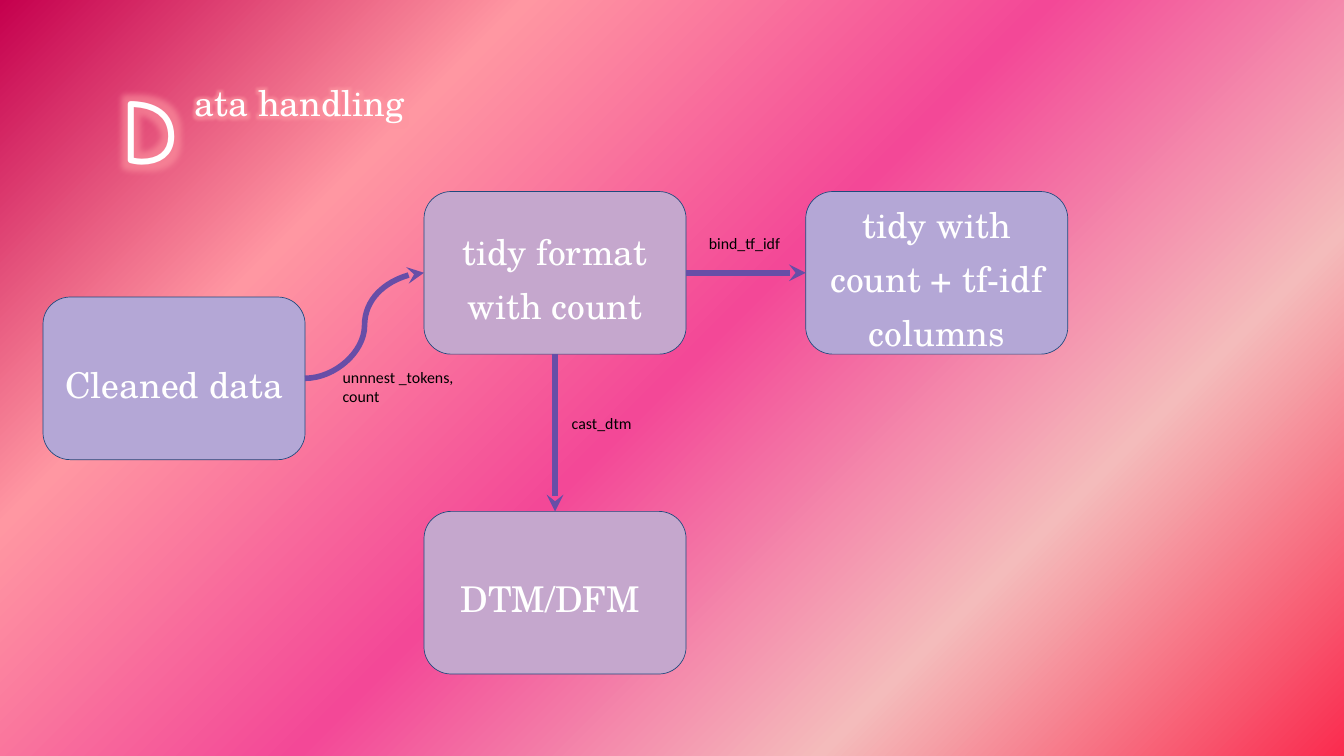
from lxml import etree
from pptx import Presentation
from pptx.dml.color import RGBColor
from pptx.enum.shapes import MSO_CONNECTOR, MSO_SHAPE
from pptx.enum.text import MSO_ANCHOR, PP_ALIGN
from pptx.oxml.ns import qn
from pptx.util import Inches, Pt

ROUNDED = MSO_SHAPE.ROUNDED_RECTANGLE
CURVE, STRAIGHT = MSO_CONNECTOR.CURVE, MSO_CONNECTOR.STRAIGHT
LEFT, CENTER = PP_ALIGN.LEFT, PP_ALIGN.CENTER
TOP, MIDDLE = MSO_ANCHOR.TOP, MSO_ANCHOR.MIDDLE
SERIF, ROUND, SANS = "TeX Gyre Schola", "Comic Neue", "Calibri"
WHITE, BLACK, OUTLINE, ARROW = "FFFFFF", "000000", "1F497D", "674EA7"
LAVENDER, MAUVE, GLOW = "B4A7D6", "C5A7CD", "FF97A2"
GRADIENT = ["C5004E", "FF97A2", "F34897", "F4BBBB", "FA2B4E"]
NODE_WIDTH, NODE_HEIGHT = 3.9, 2.42
SITE_TOP, SITE_LEFT, SITE_BOTTOM, SITE_RIGHT = range(4)


def color(value):
    """Turn a hex string into a colour."""
    return RGBColor.from_string(value)


def add_element(parent, tag, **attributes):
    """Append an XML element with the given attributes."""
    element = etree.SubElement(parent, qn(tag))
    for name, value in attributes.items():
        element.set(name, str(value))
    return element


def write_text(shape, lines, font=SERIF, size=38, fill=WHITE, align=LEFT,
               anchor=TOP, spacing=None, margin=0.1, wrap=True):
    """Fill a shape with one paragraph per line and return the runs."""
    frame = shape.text_frame
    frame.word_wrap = wrap
    frame.vertical_anchor = anchor
    frame.margin_left = frame.margin_right = Inches(margin)
    frame.margin_top = frame.margin_bottom = Inches(margin)
    runs = []
    for index, line in enumerate(lines):
        paragraph = frame.add_paragraph() if index else frame.paragraphs[0]
        paragraph.alignment = align
        paragraph.line_spacing = spacing
        run = paragraph.add_run()
        run.text = line
        run.font.name, run.font.size = font, Pt(size)
        run.font.color.rgb = color(fill)
        runs.append(run)
    return runs


def add_text(slide, box, lines, **text_format):
    """Add a text box at the given box and return its runs."""
    shape = slide.shapes.add_textbox(*map(Inches, box))
    return write_text(shape, lines, **text_format)


def add_glow(run):
    """Give the letters of a run a soft glow."""
    effects = etree.Element(qn("a:effectLst"))
    glow = add_element(effects, "a:glow", rad=Inches(0.2))
    glow_color = add_element(glow, "a:srgbClr", val=GLOW)
    add_element(glow_color, "a:alpha", val=60000)
    run.font.fill
    run.font._element.find(qn("a:solidFill")).addnext(effects)


def paint_background(slide):
    """Paint the five-colour gradient that spreads from the top left corner."""
    slide.background.fill.gradient()
    gradient = next(slide.element.iter(qn("a:gradFill")))
    for child in list(gradient):
        gradient.remove(child)
    stops = add_element(gradient, "a:gsLst")
    for index, value in enumerate(GRADIENT):
        stop = add_element(stops, "a:gs", pos=index * 25000)
        add_element(stop, "a:srgbClr", val=value)
    route = add_element(gradient, "a:path", path="circle")
    add_element(route, "a:fillToRect", r=100000, b=100000)


def add_title(slide, left, top):
    """Add the heading with its large initial."""
    title_format = dict(spacing=1.26, margin=0)
    heading = add_text(slide, (left + 1.11, top + 1.66, 14.78, 0.64),
                       ["ata handling"], **title_format)[0]
    initial = add_text(slide, (left, top, 2.23, 2.83), ["D"],
                       font=ROUND, size=100, **title_format)[0]
    spacer = slide.shapes[-1].text_frame.paragraphs[0].add_run()
    spacer.text = " "
    spacer.font.name, spacer.font.size = ROUND, Pt(168.3)
    for run in (heading, initial):
        add_glow(run)


def add_node(slide, left, top, fill, lines):
    """Add one rounded box of the flow."""
    node = slide.shapes.add_shape(ROUNDED, Inches(left), Inches(top),
                                  Inches(NODE_WIDTH), Inches(NODE_HEIGHT))
    node.shadow.inherit = False
    node.fill.solid()
    node.fill.fore_color.rgb = color(fill)
    node.line.color.rgb = color(OUTLINE)
    node.line.width = Pt(0.75)
    write_text(node, lines, align=CENTER, anchor=MIDDLE, spacing=1.26)
    return node


def add_arrow(slide, kind, start, start_site, end, end_site):
    """Join two nodes with a thick arrow."""
    connector = slide.shapes.add_connector(kind, 0, 0, 0, 0)
    connector.begin_connect(start, start_site)
    connector.end_connect(end, end_site)
    connector.line.color.rgb = color(ARROW)
    connector.line.width = Pt(6)
    add_element(connector.line._get_or_add_ln(), "a:tailEnd", type="stealth")
    add_element(connector.element.spPr, "a:effectLst")


def add_flow(slide, left, top):
    """Add the nodes, the arrows and the names of the steps."""
    middle, right = left + 5.67, left + 11.35
    cleaned = add_node(slide, left, top + 1.57, LAVENDER, ["Cleaned data"])
    tidy = add_node(slide, middle, top, MAUVE, ["tidy format", "with count"])
    weighted = add_node(slide, right, top, LAVENDER,
                        ["tidy with count + tf-idf columns"])
    matrix = add_node(slide, middle, top + 4.76, MAUVE, ["DTM/DFM "])

    add_arrow(slide, CURVE, cleaned, SITE_RIGHT, tidy, SITE_LEFT)
    add_arrow(slide, CURVE, tidy, SITE_RIGHT, weighted, SITE_LEFT)
    add_arrow(slide, STRAIGHT, tidy, SITE_BOTTOM, matrix, SITE_TOP)

    steps = [(4.36, 2.52, ["unnnest _tokens,", "count"]),
             (7.77, 3.21, ["cast_dtm"]),
             (9.81, 0.52, ["bind_tf_idf"])]
    for across, down, lines in steps:
        add_text(slide, (left + across, top + down, 2.5, 0.75), lines,
                 font=SANS, size=17, fill=BLACK)


def main():
    """Build the slide and save it."""
    presentation = Presentation()
    presentation.slide_width = Inches(20)
    presentation.slide_height = Inches(11.25)
    slide = presentation.slides.add_slide(presentation.slide_layouts[6])
    paint_background(slide)
    add_title(slide, 1.79, -0.62)
    add_flow(slide, 0.64, 2.85)
    presentation.save("out.pptx")


if __name__ == "__main__":
    main()
